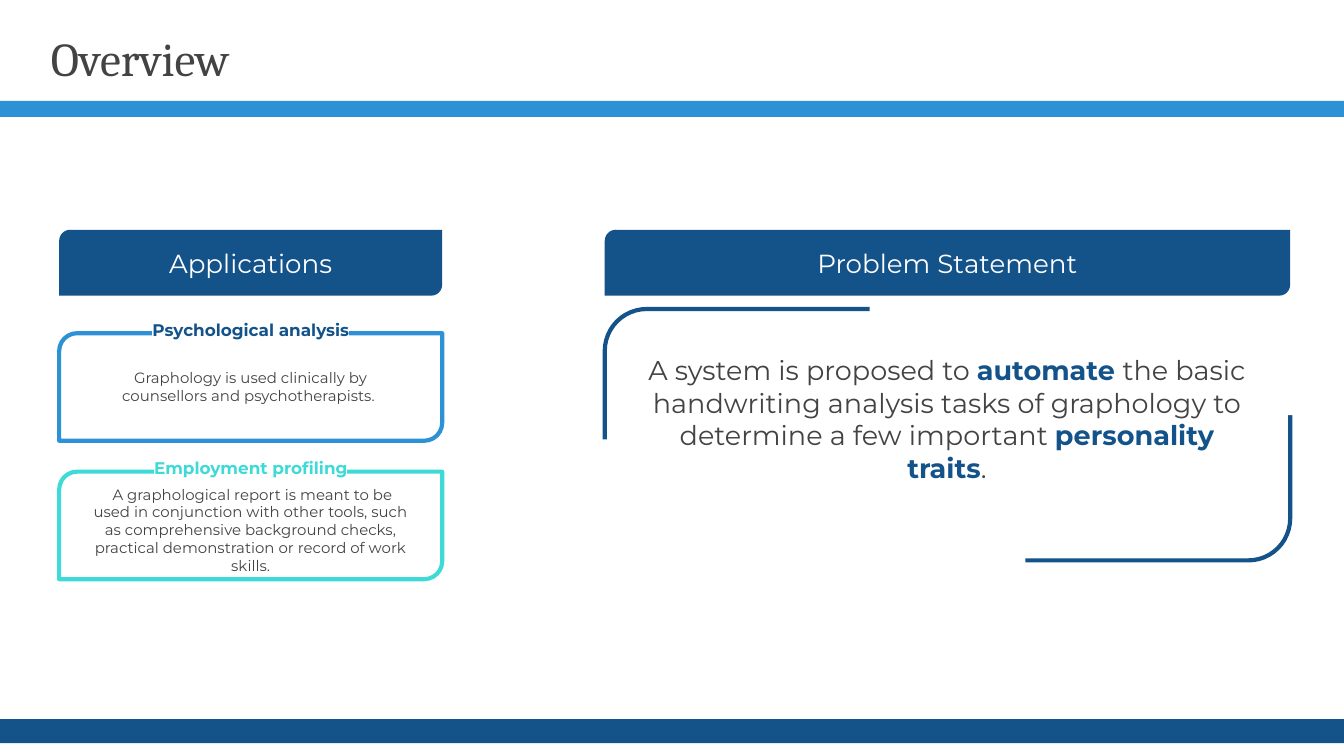
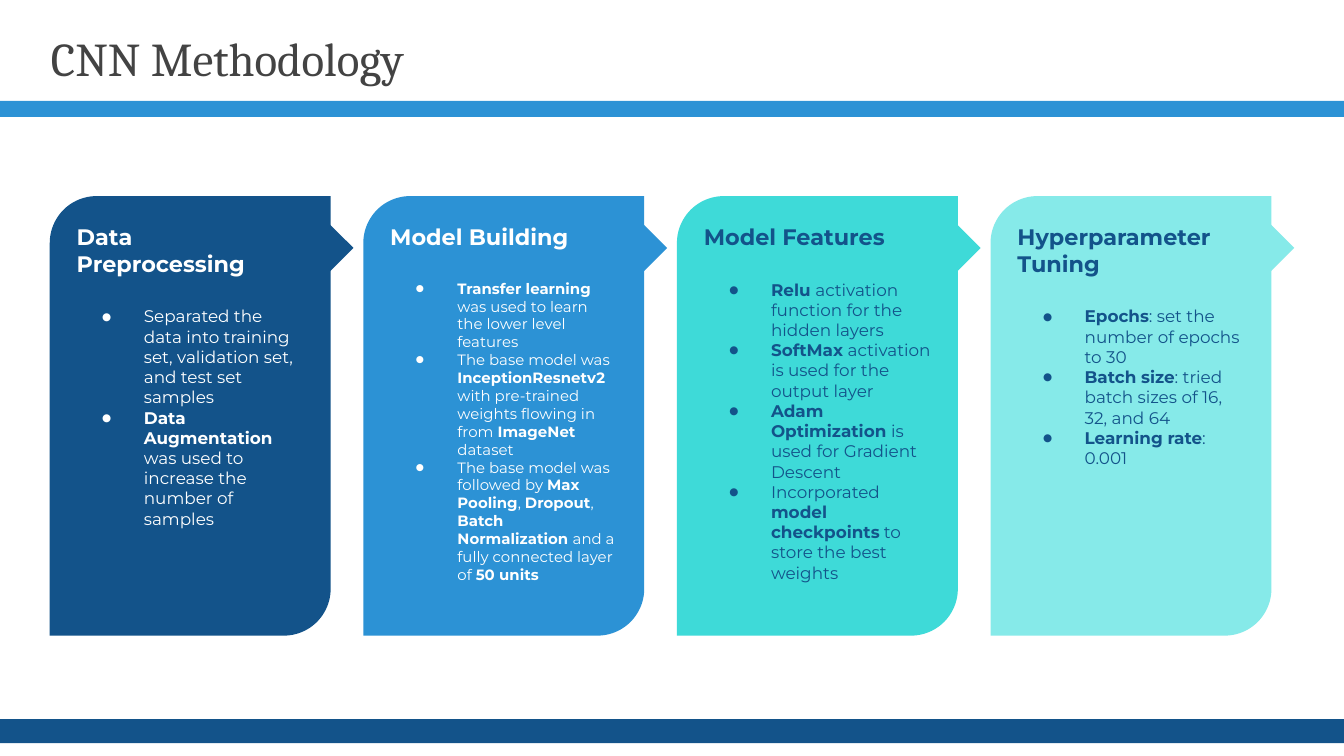
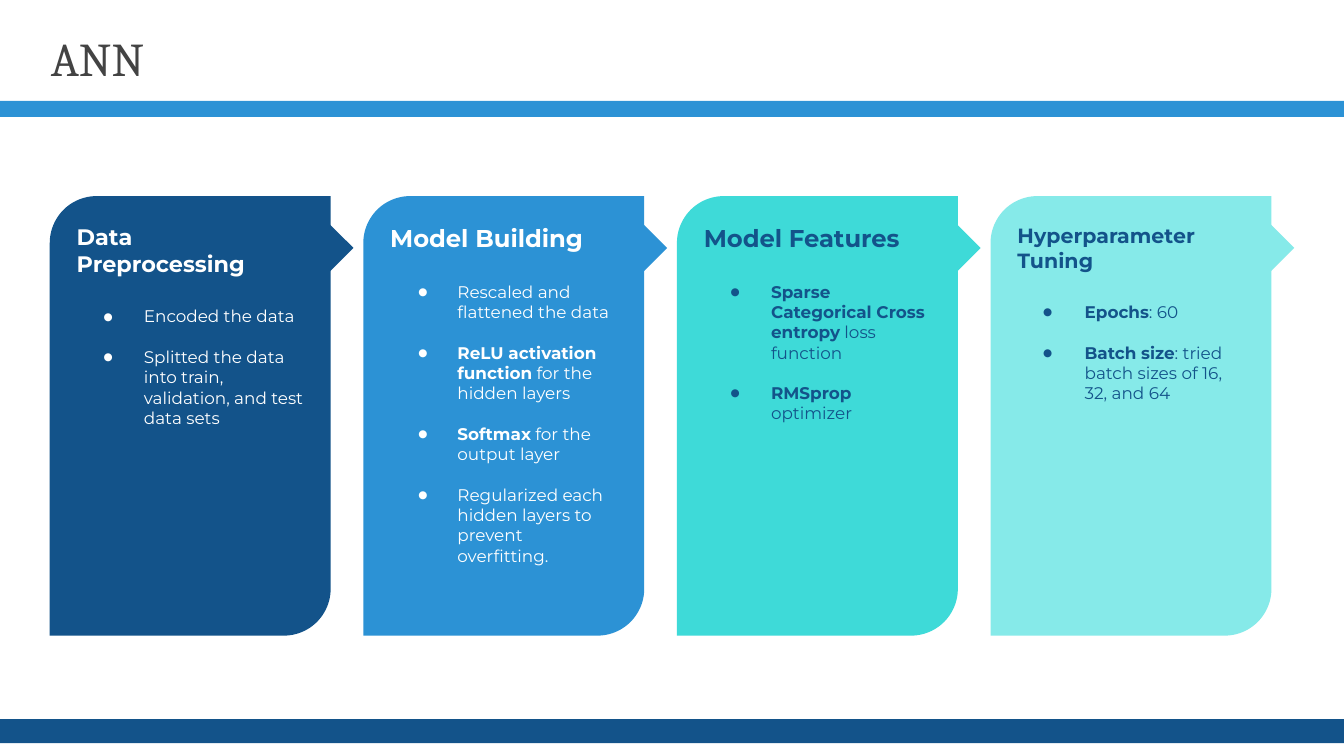
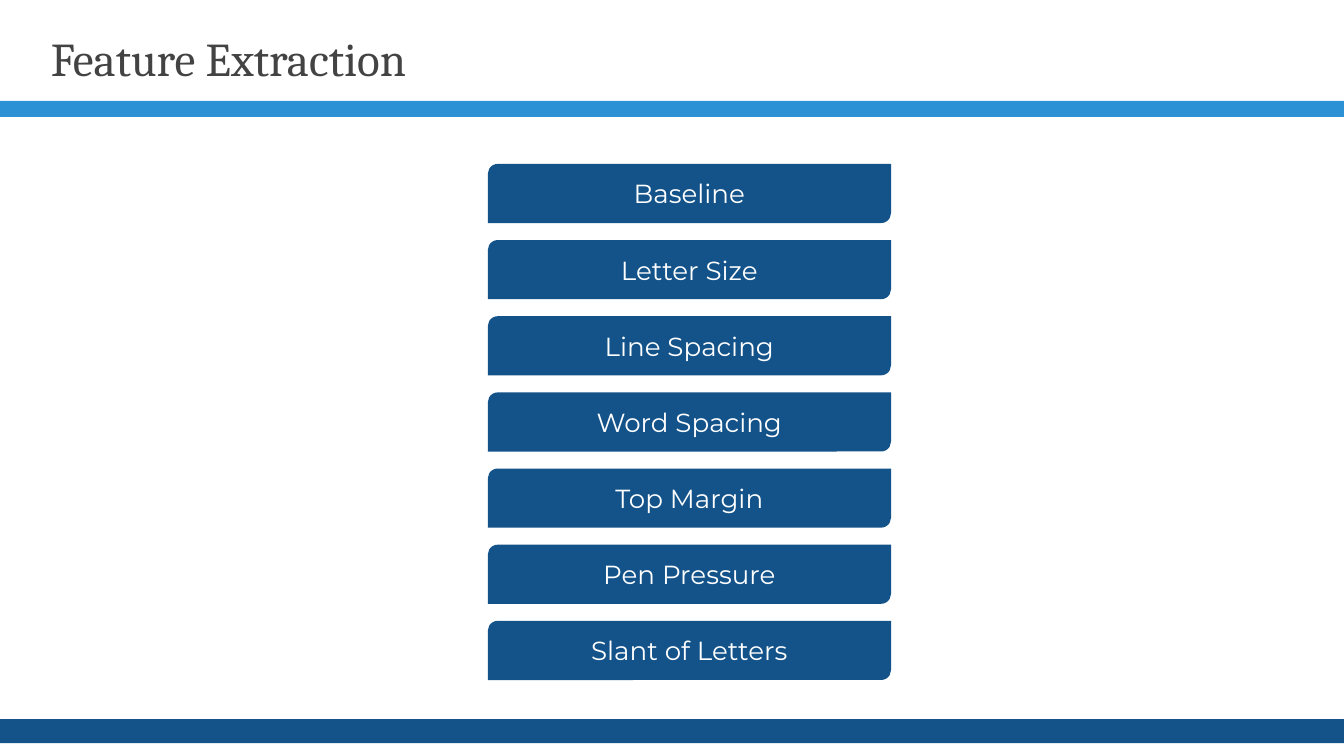
from dataclasses import dataclass

import pptx
import pptx.util
from lxml import etree
from pptx.dml.color import RGBColor
from pptx.enum.shapes import MSO_SHAPE
from pptx.enum.text import MSO_ANCHOR, PP_ALIGN
from pptx.oxml.ns import qn
from pptx.util import Inches, Pt

NAVY = RGBColor(0x13, 0x53, 0x8A)
BLUE = RGBColor(0x2C, 0x92, 0xD5)
TURQUOISE = RGBColor(0x3E, 0xDA, 0xD8)
AQUA = RGBColor(0x86, 0xEA, 0xE9)
GREY = RGBColor(0x43, 0x43, 0x43)
WHITE = RGBColor(0xFF, 0xFF, 0xFF)

TITLE_FONT = "Cambria"
BODY_FONT = "Montserrat"
STEP_COLOURS = [(NAVY, WHITE), (BLUE, WHITE), (TURQUOISE, NAVY), (AQUA, NAVY)]
STEP_LEFT, STEP_TOP, STEP_PITCH = 0.37, 1.46, 7 / 3
HEADING_GAP = 15.6


@dataclass
class Step:
    heading: str
    points: list
    heading_size: float = 12
    point_size: float = 9
    point_gap: float = 0
    hang: float = 0.31


CNN_STEPS = [
    Step("Data Preprocessing", [
        "Separated the data into training set, validation set, and test set samples",
        "**Data Augmentation **was used to increase the number of samples",
    ]),
    Step("Model Building", [
        "**Transfer learning **was used to learn the lower level features",
        "The base model was **InceptionResnetv2 **with pre-trained weights "
        "flowing in from **ImageNet **dataset",
        "The base model was followed by **Max Pooling**, **Dropout**, "
        "**Batch Normalization **and a fully connected layer of **50 units**",
    ], point_size=8),
    Step("Model Features", [
        "**Relu **activation function for the hidden layers",
        "**SoftMax **activation is used for the output layer",
        "**Adam Optimization **is used for Gradient Descent",
        "Incorporated** model checkpoints** to store the best weights",
    ]),
    Step("Hyperparameter Tuning", [
        "**Epochs**: set the number of epochs to 30",
        "**Batch size**: tried batch sizes of 16, 32, and 64",
        "**Learning rate**: 0.001",
    ]),
]

ANN_STEPS = [
    Step("Data Preprocessing", [
        "Encoded the data",
        "Splitted the data into train, validation, and test data sets",
    ], point_gap=11, hang=0.3),
    Step("Model Building", [
        "Rescaled and flattened the data",
        "**ReLU activation function** for the hidden layers",
        "**Softmax** for the output layer",
        "Regularized each hidden layers to prevent overfitting.",
    ], heading_size=13, point_gap=11, hang=0.29),
    Step("Model Features", [
        "**Sparse Categorical Cross entropy** loss function",
        "**RMSprop** optimizer",
    ], heading_size=13, point_gap=11, hang=0.3),
    Step("Hyperparameter Tuning", [
        "**Epochs**: 60",
        "**Batch size**: tried batch sizes of 16, 32, and 64",
    ], heading_size=11, point_gap=11),
]

FEATURES = ["Baseline", "Letter Size", "Line Spacing", "Word Spacing",
            "Top Margin", "Pen Pressure", "Slant of Letters"]


def add_block(shapes, preset, left, top, width, height, fill=None, line=None):
    block = shapes.add_shape(preset, Inches(left), Inches(top),
                             Inches(width), Inches(height))
    block.shadow.inherit = False
    if fill is None:
        block.fill.background()
    else:
        block.fill.solid()
        block.fill.fore_color.rgb = fill
    if line is None:
        block.line.fill.background()
    else:
        block.line.color.rgb = line
        block.line.width = Pt(2.25)
    return block


def prepare_frame(shape, anchor=MSO_ANCHOR.TOP):
    frame = shape.text_frame
    frame.word_wrap = True
    frame.vertical_anchor = anchor
    frame.margin_left = frame.margin_right = Inches(0.1)
    frame.margin_top = frame.margin_bottom = Inches(0.1)
    return frame


def write(paragraph, text, size, colour, bold_colour=None, font=BODY_FONT,
          align=PP_ALIGN.LEFT):
    """Add text run by run; parts between ** marks are bold."""
    paragraph.alignment = align
    for index, part in enumerate(text.split("**")):
        if not part:
            continue
        bold = index % 2 == 1
        run = paragraph.add_run()
        run.text = part
        run.font.size = Pt(size)
        run.font.name = font
        run.font.bold = bold
        run.font.color.rgb = bold_colour if bold and bold_colour else colour


def add_text(shapes, left, top, width, height, text, size, colour, **style):
    box = shapes.add_textbox(Inches(left), Inches(top), Inches(width), Inches(height))
    paragraph = prepare_frame(box).paragraphs[0]
    write(paragraph, text, size, colour, **style)
    return paragraph


def highlight(paragraph, colour):
    """Put a highlight behind each run, in its place before the font name."""
    for run in paragraph.runs:
        mark = etree.Element(qn("a:highlight"))
        etree.SubElement(mark, qn("a:srgbClr"), val=str(colour))
        run.font._element.find(qn("a:latin")).addprevious(mark)


def add_bullet(paragraph, colour, hang):
    properties = paragraph._p.get_or_add_pPr()
    properties.set("marL", str(Inches(0.5)))
    properties.set("indent", str(-Inches(hang)))
    bullet_colour = etree.SubElement(properties, qn("a:buClr"))
    etree.SubElement(bullet_colour, qn("a:srgbClr"), val=str(colour))
    etree.SubElement(properties, qn("a:buSzPct"), val="62000")
    etree.SubElement(properties, qn("a:buFont"), typeface=BODY_FONT)
    etree.SubElement(properties, qn("a:buChar"), char="●")


def add_titled_slide(deck, title):
    slide = deck.slides.add_slide(deck.slide_layouts[6])
    add_block(slide.shapes, MSO_SHAPE.RECTANGLE, 0, 5.35, 10, 0.18, NAVY)
    add_block(slide.shapes, MSO_SHAPE.RECTANGLE, 0, 0.75, 10, 0.12, BLUE)
    add_text(slide.shapes, 0.28, 0.12, 9.32, 0.63, title, 25.2, GREY, font=TITLE_FONT)
    return slide


def add_banner(slide, left, top, width, height, text):
    banner = add_block(slide.shapes, MSO_SHAPE.ROUND_2_DIAG_RECTANGLE,
                       left, top, width, height, NAVY)
    paragraph = prepare_frame(banner, MSO_ANCHOR.MIDDLE).paragraphs[0]
    write(paragraph, text, 14, WHITE, align=PP_ALIGN.CENTER)


def add_application(slide, top, colour, label_colour, label, body, body_top, body_height):
    """An outlined card whose label interrupts the upper edge."""
    card = slide.shapes.add_group_shape().shapes
    add_block(card, MSO_SHAPE.ROUND_2_DIAG_RECTANGLE, 0.44, top, 2.85, 0.8, line=colour)
    heading = add_text(card, 0.79, top - 0.18, 2.15, 0.35, f"**{label}**", 9,
                       label_colour, align=PP_ALIGN.CENTER)
    highlight(heading, WHITE)
    add_text(card, 0.57, body_top, 2.59, body_height, body, 8, GREY,
             align=PP_ALIGN.CENTER)


def add_corner_frame(slide):
    """An outline of which only two opposite corners stay visible."""
    add_block(slide.shapes, MSO_SHAPE.ROUND_2_DIAG_RECTANGLE,
              4.5, 2.3, 5.1, 1.87, line=NAVY)
    for left, top in [(6.47, 1.86), (4.26, 3.27)]:
        add_block(slide.shapes, MSO_SHAPE.RECTANGLE, left, top, 3.37, 1.23, WHITE)


def add_step(slide, left, step, fill, text_colour):
    card = slide.shapes.add_group_shape().shapes
    add_block(card, MSO_SHAPE.RIGHT_ARROW, left + 1.78, STEP_TOP + 0.21, 0.48, 0.35, fill)
    panel = add_block(card, MSO_SHAPE.ROUND_2_DIAG_RECTANGLE,
                      left, STEP_TOP, 2.09, 3.27, fill)
    frame = prepare_frame(panel)
    write(frame.paragraphs[0], f"**{step.heading}**", step.heading_size, text_colour)
    for index, point in enumerate(step.points):
        paragraph = frame.add_paragraph()
        add_bullet(paragraph, text_colour, step.hang)
        paragraph.space_before = Pt(step.point_gap if index else HEADING_GAP)
        write(paragraph, point, step.point_size, text_colour)


def build_overview(deck):
    slide = add_titled_slide(deck, "Overview")
    add_banner(slide, 0.44, 1.71, 2.85, 0.49, "Applications")
    add_application(slide, 2.48, BLUE, NAVY, "Psychological analysis",
                    "Graphology is used clinically by counsellors and psychotherapists. ",
                    2.64, 0.47)
    add_application(slide, 3.51, TURQUOISE, TURQUOISE, "Employment profiling",
                    " A graphological report is meant to be used in conjunction with "
                    "other tools, such as comprehensive background checks, practical "
                    "demonstration or record of work skills.", 3.51, 0.88)
    add_corner_frame(slide)
    add_banner(slide, 4.5, 1.71, 5.1, 0.49, "Problem Statement")
    add_text(slide.shapes, 4.67, 2.53, 4.75, 1.18,
             "A system is proposed to **automate **the basic handwriting analysis "
             "tasks of graphology to determine a few important "
             "**personality traits**.", 14.5, GREY, bold_colour=NAVY,
             align=PP_ALIGN.CENTER)


def build_process(deck, title, steps):
    slide = add_titled_slide(deck, title)
    for index, (step, colours) in enumerate(zip(steps, STEP_COLOURS)):
        add_step(slide, STEP_LEFT + index * STEP_PITCH, step, *colours)


def build_features(deck):
    slide = add_titled_slide(deck, "Feature Extraction")
    first_top, last_top = 1.22, 4.62
    pitch = (last_top - first_top) / (len(FEATURES) - 1)
    for index, feature in enumerate(FEATURES):
        add_banner(slide, 3.63, first_top + index * pitch, 3, 0.44, feature)


def main():
    deck = pptx.Presentation()
    deck.slide_width = Inches(10)
    deck.slide_height = Inches(10 * 9 / 16)
    build_overview(deck)
    build_process(deck, "CNN Methodology", CNN_STEPS)
    build_process(deck, "ANN", ANN_STEPS)
    build_features(deck)
    deck.save("out.pptx")


if __name__ == "__main__":
    main()
